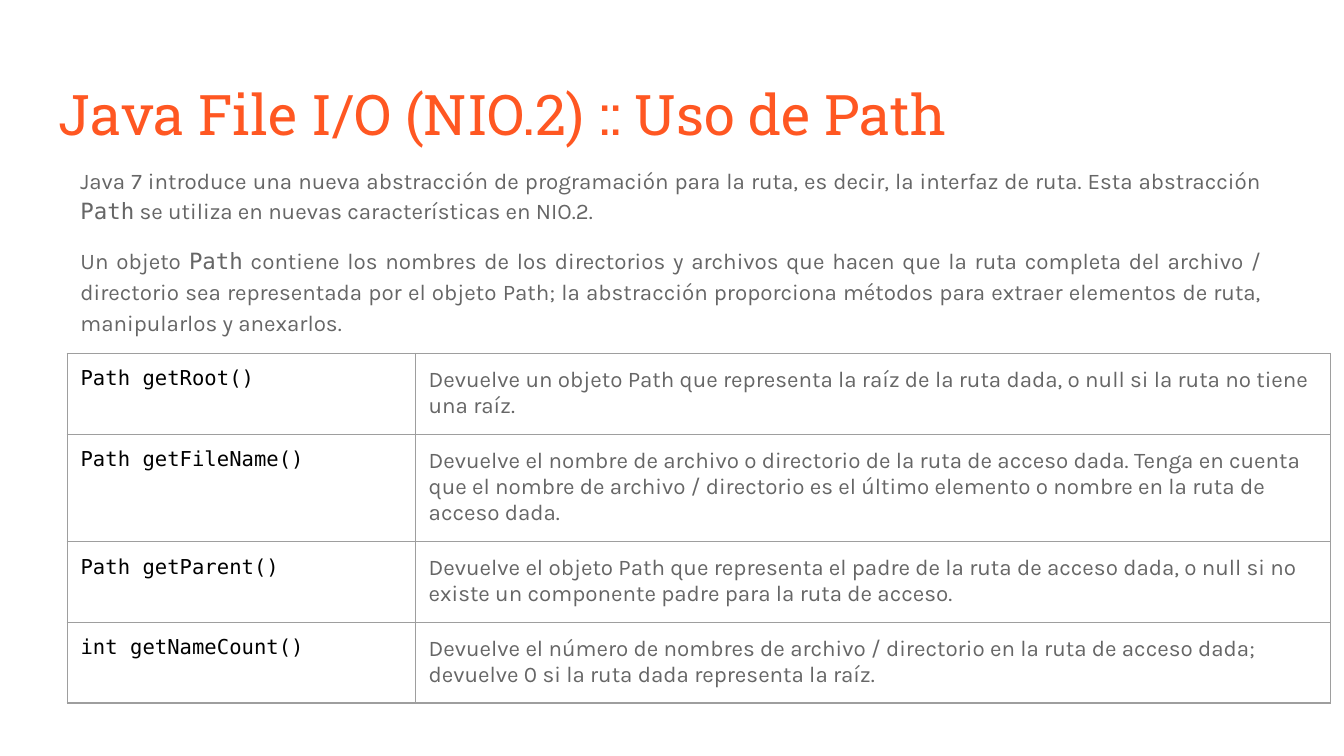
from lxml import etree
from pptx import Presentation
from pptx.dml.color import RGBColor
from pptx.enum.text import MSO_ANCHOR, PP_ALIGN
from pptx.oxml.ns import qn
from pptx.util import Inches, Pt

JUSTIFY, LEFT, TOP = PP_ALIGN.JUSTIFY, PP_ALIGN.LEFT, MSO_ANCHOR.TOP
ORANGE = RGBColor(0xFF, 0x57, 0x22)
GRAY = RGBColor(0x66, 0x66, 0x66)
BLACK = RGBColor(0x00, 0x00, 0x00)
BORDER = RGBColor(0x9E, 0x9E, 0x9E)
SLAB, SANS, MONO = "Roboto Slab", "Karla", "DejaVu Sans Mono"
MARGIN = Inches(0.1)

# Content: each paragraph is a list of (text, font) spans
TITLE = "Java File I/O (NIO.2) :: Uso de Path"
BODY = [
    [("Java 7 introduce una nueva abstracción de programación para la ruta, es decir, "
      "la interfaz de ruta. Esta abstracción ", SANS),
     ("Path", MONO),
     (" se utiliza en nuevas características en NIO.2.", SANS)],
    [("Un objeto ", SANS),
     ("Path", MONO),
     (" contiene los nombres de los directorios y archivos que hacen que la ruta completa "
      "del archivo / directorio sea representada por el objeto Path; la abstracción "
      "proporciona métodos para extraer elementos de ruta, manipularlos y anexarlos.", SANS)],
]
METHODS = [
    ("Path getRoot()",
     "Devuelve un objeto Path que representa la raíz de la ruta dada, o null si la ruta "
     "no tiene una raíz."),
    ("Path getFileName()",
     "Devuelve el nombre de archivo o directorio de la ruta de acceso dada. Tenga en cuenta "
     "que el nombre de archivo / directorio es el último elemento o nombre en la ruta de "
     "acceso dada."),
    ("Path getParent()",
     "Devuelve el objeto Path que representa el padre de la ruta de acceso dada, o null si "
     "no existe un componente padre para la ruta de acceso."),
    ("int getNameCount()",
     "Devuelve el número de nombres de archivo / directorio en la ruta de acceso dada; "
     "devuelve 0 si la ruta dada representa la raíz."),
]
COLUMN_WIDTHS = (2.59, 6.81)
ROW_HEIGHTS = (0.48, 0.48, 0.48, 0.56)  # minimum heights, rows grow with their text


def write(frame, paragraphs, size, color, align=LEFT, spacing=None, gap=0):
    """Fill a text frame with paragraphs of (text, font) spans."""
    frame.word_wrap = True
    for index, spans in enumerate(paragraphs):
        para = frame.add_paragraph() if index else frame.paragraphs[0]
        para.alignment = align
        if spacing:
            para.line_spacing = spacing
        if index:
            para.space_before = Pt(gap)
        for text, font in spans:
            span = para.add_run()
            span.text = text
            span.font.name = font
            span.font.size = Pt(size)
            span.font.color.rgb = color


def add_text(page, place, paragraphs, **style):
    box = page.shapes.add_textbox(*(Inches(length) for length in place))
    frame = box.text_frame
    frame.margin_left = frame.margin_right = MARGIN
    frame.margin_top = frame.margin_bottom = MARGIN
    frame.vertical_anchor = TOP
    write(frame, paragraphs, **style)


def format_cell(cell, text, font, **style):
    cell.margin_left = cell.margin_right = MARGIN
    cell.margin_top = cell.margin_bottom = MARGIN
    cell.vertical_anchor = TOP
    properties = cell._tc.get_or_add_tcPr()
    for side in ("a:lnL", "a:lnR", "a:lnT", "a:lnB"):
        line = etree.SubElement(properties, qn(side), w=str(Pt(0.75)))
        fill = etree.SubElement(line, qn("a:solidFill"))
        etree.SubElement(fill, qn("a:srgbClr"), val=str(BORDER))
    cell.fill.background()
    write(cell.text_frame, [[(text, font)]], **style)


def add_methods(page, left, top):
    table = page.shapes.add_table(
        len(METHODS), len(COLUMN_WIDTHS), Inches(left), Inches(top),
        Inches(sum(COLUMN_WIDTHS)), Inches(sum(ROW_HEIGHTS))).table
    table.first_row = table.horz_banding = False
    for column, width in zip(table.columns, COLUMN_WIDTHS):
        column.width = Inches(width)
    for index, (method, meaning) in enumerate(METHODS):
        table.rows[index].height = Inches(ROW_HEIGHTS[index])
        format_cell(table.cell(index, 0), method, MONO, size=11, color=BLACK)
        format_cell(table.cell(index, 1), meaning, SANS, size=12, color=GRAY)


def main():
    deck = Presentation()
    deck.slide_width = Inches(10)
    deck.slide_height = deck.slide_width * 9 // 16
    page = deck.slides.add_slide(deck.slide_layouts[6])
    # Title, explanation and method table
    add_text(page, (0.34, 0.49, 9.32, 0.63), [[(TITLE, SLAB)]], size=30, color=ORANGE)
    add_text(page, (0.5, 1.11, 8.99, 3.91), BODY, size=12, color=GRAY,
             align=JUSTIFY, spacing=1.15, gap=10)
    add_methods(page, 0.5, 2.63)
    deck.save("out.pptx")


if __name__ == "__main__":
    main()
